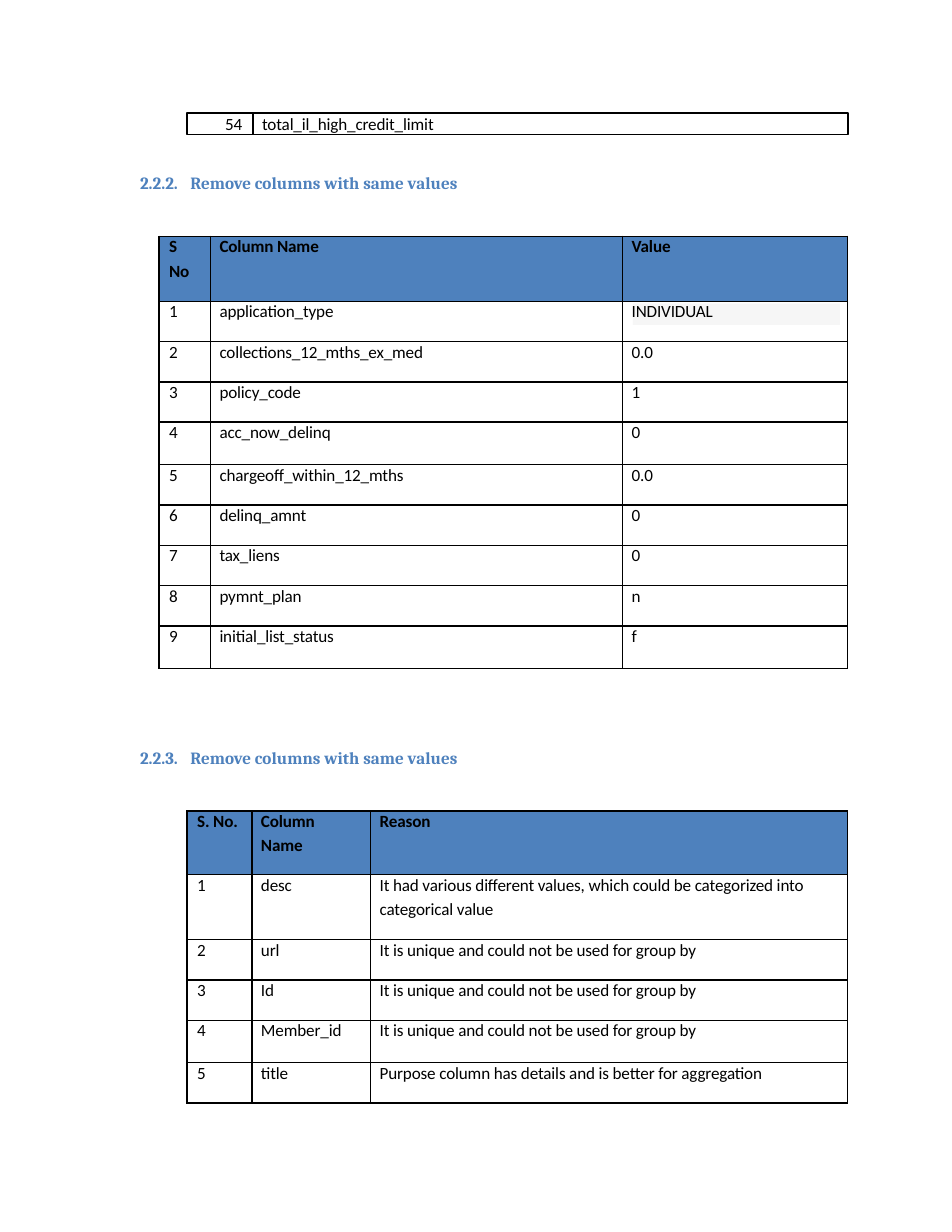
from lxml.etree import SubElement
from pptx import Presentation
from pptx.dml.color import RGBColor
from pptx.enum.shapes import MSO_SHAPE
from pptx.enum.text import MSO_ANCHOR, PP_ALIGN
from pptx.oxml.ns import qn
from pptx.util import Emu, Inches, Pt

COLORS = {"ink": "000000", "blue": "4E81BD", "highlight": "F6F6F6"}
PAGE_WIDTH, PAGE_HEIGHT = Inches(8.5), Inches(11)
COLUMN, ROW = PAGE_WIDTH // 85, PAGE_HEIGHT // 110  # page grid of 85 by 110
TEXT_INSET = 0.8
RIGHT_EDGE = 75.7

SAME_VALUES = [
    ("S\nNo", "Column Name", "Value"),
    ("1", "application_type", "INDIVIDUAL"),
    ("2", "collections_12_mths_ex_med", "0.0"),
    ("3", "policy_code", "1"),
    ("4", "acc_now_delinq", "0"),
    ("5", "chargeoff_within_12_mths", "0.0"),
    ("6", "delinq_amnt", "0"),
    ("7", "tax_liens", "0"),
    ("8", "pymnt_plan", "n"),
    ("9", "initial_list_status", "f"),
]
UNIQUE = "It is unique and could not be used for group by"
REASONS = [
    ("S. No.", "Column\nName", "Reason"),
    ("1", "desc", "It had various different values, which could be categorized into\n"
                  "categorical value"),
    ("2", "url", UNIQUE),
    ("3", "Id", UNIQUE),
    ("4", "Member_id", UNIQUE),
    ("5", "title", "Purpose column has details and is better for aggregation"),
]


def color(name):
    return RGBColor.from_string(COLORS[name])


def place(left, top, width, height):
    """Turn grid columns and rows into slide lengths."""
    return [Emu(round(count * unit)) for count, unit in
            ((left, COLUMN), (top, ROW), (width, COLUMN), (height, ROW))]


def write(frame, text, font="Calibri", ink="ink", bold=False, spacing=-0.1):
    frame.text = text
    for number, para in enumerate(frame.paragraphs):
        para.alignment = PP_ALIGN.LEFT
        para.space_before = Pt(2.2 if number else 0.5)
        for span in para.runs:
            span.font.name, span.font.size, span.font.bold = font, Pt(11), bold
            span.font.color.rgb = color(ink)
            span.font._element.set("spc", str(round(spacing * 100)))


def set_insets(holder, left):
    holder.margin_left = Emu(round(left * COLUMN))
    holder.margin_top = holder.margin_right = holder.margin_bottom = 0


def add_borders(cell):
    properties = cell._tc.get_or_add_tcPr()
    for position, side in enumerate(("a:lnL", "a:lnR", "a:lnT", "a:lnB")):
        line = SubElement(properties, qn(side), w=str(Pt(1)))
        fill = SubElement(line, qn("a:solidFill"))
        SubElement(fill, qn("a:srgbClr"), val=COLORS["ink"])
        properties.insert(position, line)


def add_grid_table(page, box, rows, widths, heights):
    frame = page.shapes.add_table(len(rows), len(widths), *place(*box))
    table = frame.table
    for column, width in zip(table.columns, widths):
        column.width = Emu(round(width * COLUMN))
    for row, height in zip(table.rows, heights):
        row.height = Emu(round(height * ROW))
    for row_number, values in enumerate(rows):
        header = row_number == 0
        for column_number, value in enumerate(values):
            cell = table.cell(row_number, column_number)
            set_insets(cell, TEXT_INSET if column_number else 0.9)
            cell.vertical_anchor = MSO_ANCHOR.TOP
            write(cell.text_frame, value, bold=header)
            if header:
                cell.fill.solid()
                cell.fill.fore_color.rgb = color("blue")
            else:
                cell.fill.background()
            add_borders(cell)


def add_heading(page, box, number, title):
    frame = page.shapes.add_textbox(*place(*box)).text_frame
    frame.word_wrap = True
    set_insets(frame, 0.1)
    write(frame, f"{number}\t{title}", font="Cambria", ink="blue", bold=True, spacing=0)
    frame.paragraphs[0].space_before = Pt(1)
    stops = SubElement(frame.paragraphs[0]._p.get_or_add_pPr(), qn("a:tabLst"))
    SubElement(stops, qn("a:tab"), pos=str(round(4.5 * COLUMN)), algn="l")


def add_rectangle(page, box):
    shape = page.shapes.add_shape(MSO_SHAPE.RECTANGLE, *place(*box))
    shape.shadow.inherit = False
    return shape


def add_highlight(page, box):
    shape = add_rectangle(page, box)
    shape.fill.solid()
    shape.fill.fore_color.rgb = color("highlight")
    shape.line.fill.background()


def add_last_row(page, box, values, widths, insets):
    """Draw the closing row of the preceding table as outlined boxes."""
    left, top, _, height = box
    for value, width, inset in zip(values, widths, insets):
        shape = add_rectangle(page, (left, top, width, height))
        shape.fill.background()
        shape.line.color.rgb = color("ink")
        shape.line.width = Pt(1)
        frame = shape.text_frame
        frame.word_wrap = True
        frame.vertical_anchor = MSO_ANCHOR.TOP
        set_insets(frame, inset)
        write(frame, value)
        frame.paragraphs[0].space_before = Pt(0)
        frame.paragraphs[0].line_spacing = Pt(13.2)
        left += width


def main():
    deck = Presentation()
    deck.slide_width, deck.slide_height = PAGE_WIDTH, PAGE_HEIGHT
    page = deck.slides.add_slide(deck.slide_layouts[6])

    add_grid_table(page, (16.7, 72.4, RIGHT_EDGE - 16.7, 26.1), REASONS,
                   (5.8, 10.6, 42.6), (5.7, 5.8, 3.6, 3.6, 3.8, 3.6))
    add_highlight(page, (56.5, 27.1, 18.5, 1.9))
    add_grid_table(page, (14.2, 21.1, RIGHT_EDGE - 14.2, 38.6), SAME_VALUES,
                   (4.6, 36.8, 20.1), (5.8, 3.6, 3.6, 3.6, 3.8, 3.6, 3.6, 3.6, 3.6, 3.8))
    add_last_row(page, (16.7, 10.1, RIGHT_EDGE - 16.7, 1.9),
                 ("54", "total_il_high_credit_limit"), (5.9, 53.1), (3.4, TEXT_INSET))
    for number, top in (("2.2.2.", 15.4), ("2.2.3.", 66.7)):
        add_heading(page, (12.4, top, 29.5, 2.1), number, "Remove columns with same values")

    deck.save("out.pptx")


if __name__ == "__main__":
    main()
